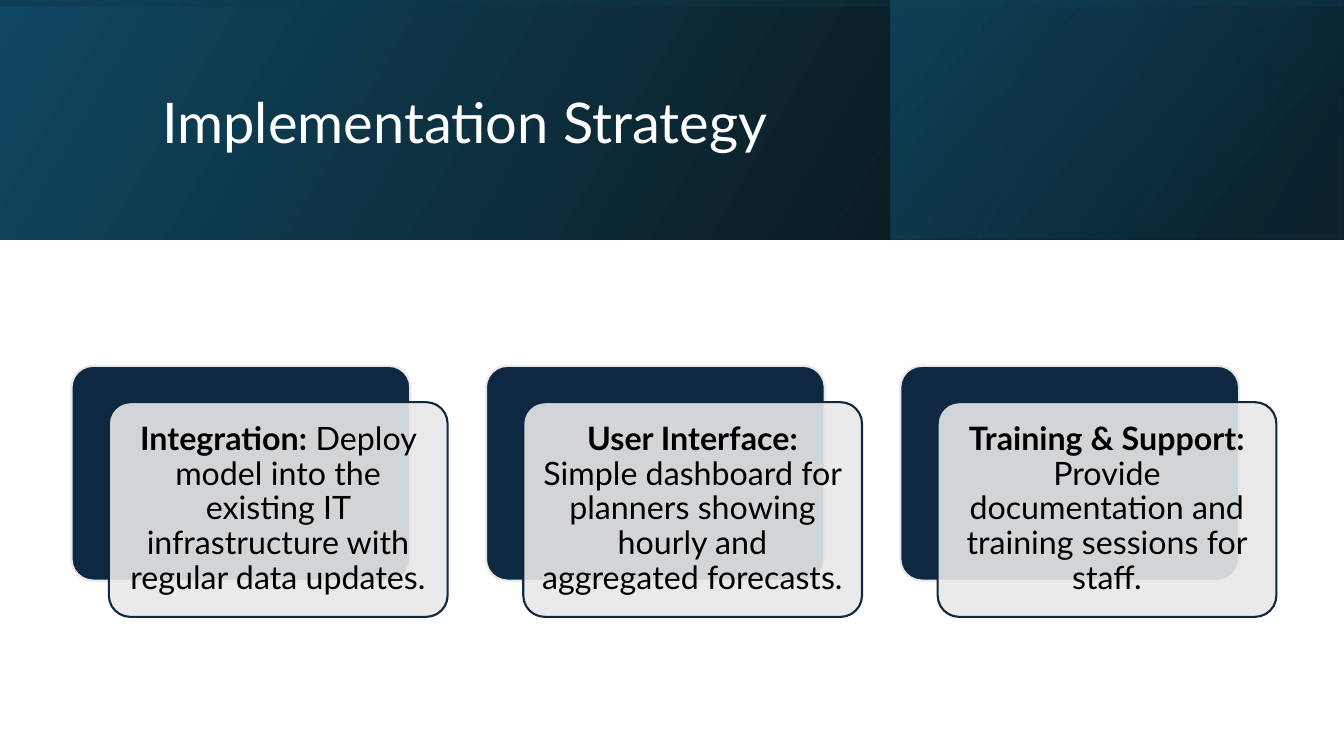
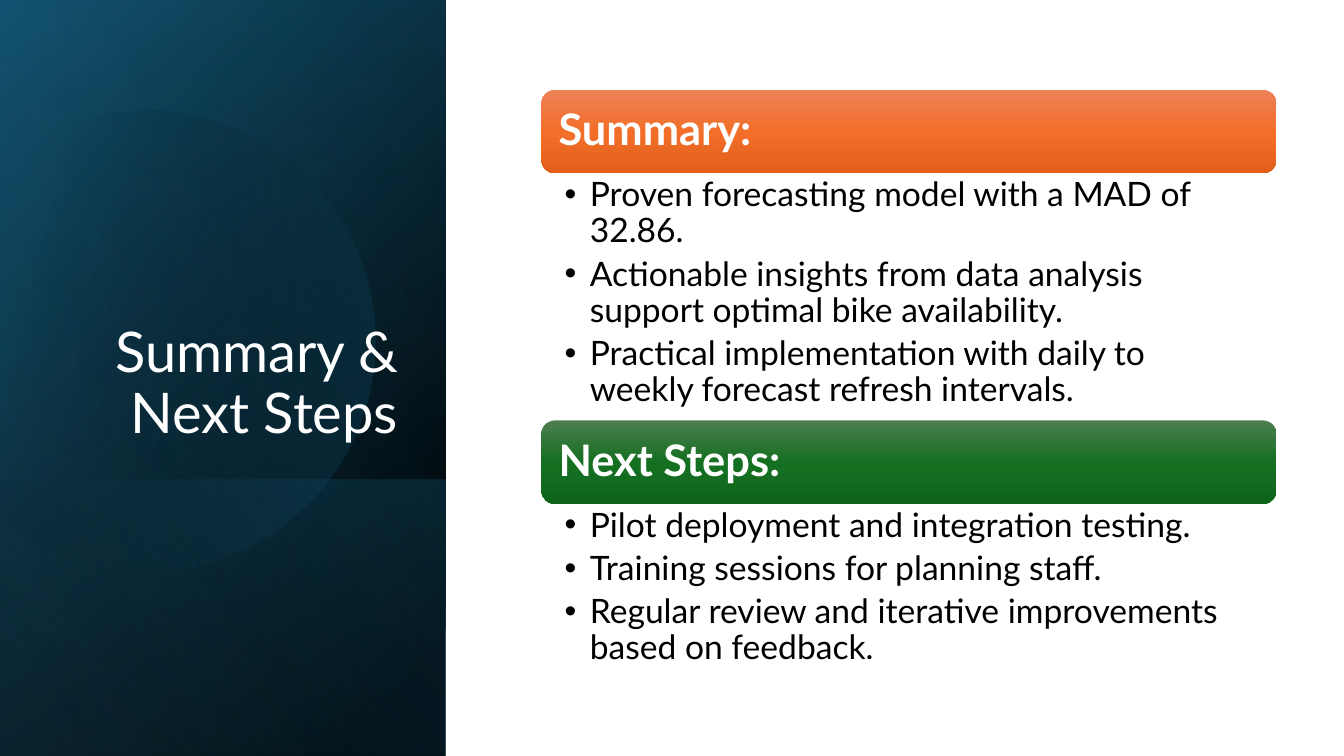
from math import cos, radians, sin

from lxml.etree import SubElement as Sub
from pptx import Presentation
from pptx.dml.color import RGBColor
from pptx.enum.shapes import MSO_SHAPE as Kind
from pptx.enum.text import MSO_ANCHOR as Anchor, MSO_AUTO_SIZE as Auto, PP_ALIGN as Align
from pptx.oxml.ns import qn
from pptx.util import Inches, Pt

WIDE, HIGH = 13.33, 7.5
FONT = "Lato"
NAVY, PALE, WHITE, BLACK = "0E2841", "E8E8E8", "FFFFFF", "000000"
DEEP, TEAL, SKY = "104862", "156082", "46B1E1"

# Bands: visible box, turn, gradient angle, stops of (place, colour, opacity)
HEAD, SIDE = 2.38, 4.42
TOP = (0, 0, WIDE, HEAD)
LEFT = (0, 0, SIDE, HIGH)
TOP_BANDS = [
    (TOP, 0, 330, [(0, BLACK, 96), (100, DEEP, 100)]),
    ((8.83, 0, 4.49, HEAD), 0, 320, [(19, "0B3041", 68), (100, TEAL, 48)]),
    (TOP, 270, 350, [(23, DEEP, 16), (99, BLACK, 45)]),
]
SIDE_BANDS = [
    (LEFT, 90, 50, [(8, BLACK, 100), (100, DEEP, 100)]),
    (LEFT, 90, 30, [(0, BLACK, 0), (99, TEAL, 46)]),
    ((0, 4.76, SIDE, 2.74), 90, 130, [(2, TEAL, 29), (100, BLACK, 30)]),
]
SHEEN = (LEFT, 90, 120, [(0, BLACK, 0), (99, SKY, 11)])

# Disc: turn, centre, then steps of one point (line) or three (curve)
DISC_TURN, DISC_MID = 343.9, (1.59, 3.35)
DISC_STOPS = [(29, BLACK, 0), (100, TEAL, 43)]
DISC_STEPS = [
    [(1.49, 1.1)],
    [(2.46, 1.12), (3.35, 1.77), (3.63, 2.75)],
    [(3.98, 3.97), (3.28, 5.23), (2.07, 5.58)],
    [(1.31, 5.8), (0.53, 5.61), (-0.03, 5.14)],
    [(-0.15, 5.03)],
    [(-0.15, 1.75)],
    [(0, 1.61)],
    [(0.23, 1.42), (0.5, 1.28), (0.8, 1.19)],
    [(1.03, 1.13), (1.26, 1.1), (1.49, 1.1)],
]

CARDS = [
    ("Integration:", " Deploy model into the existing IT infrastructure with regular data updates."),
    ("User Interface:", " Simple dashboard for planners showing hourly and aggregated forecasts."),
    ("Training & Support:", " Provide documentation and training sessions for staff."),
]
PARTS = [
    ("Summary:", ("ED8257", "F26E29", "E25F1A"), 2.45, [
        "Proven forecasting model with a MAD of 32.86.",
        "Actionable insights from data analysis support optimal bike availability.",
        "Practical implementation with daily to weekly forecast refresh intervals.",
    ]),
    ("Next Steps:", ("4D7E50", "156F21", "0F661B"), 1.72, [
        "Pilot deployment and integration testing.",
        "Training sessions for planning staff.",
        "Regular review and iterative improvements based on feedback.",
    ]),
]


def rgb(code):
    return RGBColor.from_string(code)


def put(obj, **vals):
    for name, val in vals.items():
        setattr(obj, name, val)


def inch(box):
    return [Inches(v) for v in box]


def color(parent, code, alpha=100):
    node = Sub(parent, qn("a:srgbClr"), val=code)
    if alpha < 100:
        Sub(node, qn("a:alpha"), val=str(alpha * 1000))


def blend(shape, stops, angle):
    """Fill a shape with a linear gradient whose stops may be see-through."""
    shape.fill.gradient()
    grad = shape._element.spPr.find(qn("a:gradFill"))
    for child in list(grad):
        grad.remove(child)
    group = Sub(grad, qn("a:gsLst"))
    for place, code, alpha in stops:
        color(Sub(group, qn("a:gs"), pos=str(place * 1000)), code, alpha)
    Sub(grad, qn("a:lin"), ang=str(angle * 60000), scaled="0")


def plain(shape, edge=None):
    shape.shadow.inherit = False
    if edge:
        shape.line.color.rgb = rgb(edge)
        shape.line.width = Pt(1.5)
    else:
        shape.line.fill.background()
    return shape


def block(slide, kind, box, edge=None):
    return plain(slide.shapes.add_shape(kind, *inch(box)), edge)


def band(slide, box, turn, angle, stops):
    """Draw a mirrored gradient band; a quarter turn swaps its sides."""
    x, y, w, h = box
    if turn:
        x, y, w, h = x + (w - h) / 2, y + (h - w) / 2, h, w
    shape = block(slide, Kind.RECTANGLE, (x, y, w, h))
    shape.rotation = turn
    shape._element.spPr.find(qn("a:xfrm")).set("flipH", "1")
    blend(shape, stops, angle)


def unturn(dot):
    """Give a point's place before the disc is turned."""
    angle = radians(360 - DISC_TURN)
    dx, dy = dot[0] - DISC_MID[0], dot[1] - DISC_MID[1]
    return inch((DISC_MID[0] + dx * cos(angle) - dy * sin(angle),
                 DISC_MID[1] + dx * sin(angle) + dy * cos(angle)))


def disc(slide):
    """Lay the points out as lines, then join each three into a curve."""
    dots = [unturn(dot) for step in DISC_STEPS for dot in step]
    pen = slide.shapes.build_freeform(*dots[0])
    pen.add_line_segments(dots[1:])
    shape = plain(pen.convert_to_shape())
    lines = iter(list(shape._element.spPr.iter(qn("a:lnTo"))))
    for step in DISC_STEPS[1:]:
        group = [next(lines) for _ in step]
        if len(group) == 3:
            curve = Sub(group[0].getparent(), qn("a:cubicBezTo"))
            group[0].addprevious(curve)
            for line in group:
                curve.append(line[0])
                line.getparent().remove(line)
    shape.rotation = DISC_TURN
    blend(shape, DISC_STOPS, 30)


def frame(shape, anchor, pads):
    text = shape.text_frame
    names = ("margin_left", "margin_top", "margin_right", "margin_bottom")
    put(text, word_wrap=True, auto_size=Auto.NONE, vertical_anchor=anchor,
        **dict(zip(names, inch(pads))))
    return text


def write(para, runs, size, code, align=Align.LEFT):
    """Fill a paragraph with (text, bold) runs."""
    put(para, alignment=align, line_spacing=0.9)
    for words, bold in runs:
        run = para.add_run()
        run.text = words
        put(run.font, name=FONT, size=Pt(size), bold=bold)
        run.font.color.rgb = rgb(code)


def bullet(para):
    props = para._p.get_or_add_pPr()
    props.set("marL", str(Inches(0.25)))
    props.set("indent", str(-Inches(0.25)))
    Sub(props, qn("a:buFont"), typeface="Arial")
    Sub(props, qn("a:buChar"), char="•")


def title(slide, words, box, anchor, align):
    """Format the title placeholder and bring it above the bands."""
    shape = slide.shapes.title
    put(shape, **dict(zip(("left", "top", "width", "height"), inch(box))))
    text = frame(shape, anchor, (0.1, 0.05, 0.1, 0.05))
    write(text.paragraphs[0], [(words, False)], 40, WHITE, align)
    slide.shapes._spTree.append(shape._element)


def strategy(slide):
    for item in TOP_BANDS:
        band(slide, *item)
    title(slide, "Implementation Strategy", (1.51, 0.38, 10.63, 1.72),
          Anchor.MIDDLE, Align.LEFT)
    x, y, w, h, step = 0.71, 3.63, 3.36, 2.13, 4.11
    for i, (label, words) in enumerate(CARDS):
        left = x + i * step
        back = block(slide, Kind.ROUNDED_RECTANGLE, (left, y, w, h), PALE)
        card = block(slide, Kind.ROUNDED_RECTANGLE, (left + 0.37, y + 0.36, w, h), NAVY)
        for shape, code in ((back, NAVY), (card, PALE)):
            shape.adjustments[0] = 0.1
            shape.fill.solid()
            shape.fill.fore_color.rgb = rgb(code)
        tint = card._element.spPr.find(qn("a:solidFill"))[0]
        Sub(tint, qn("a:alpha"), val="90000")
        text = frame(card, Anchor.MIDDLE, (0.1,) * 4)
        write(text.paragraphs[0], [(label, True), (words, False)], 23, BLACK, Align.CENTER)


def summary(slide):
    for item in SIDE_BANDS:
        band(slide, *item)
    disc(slide)
    band(slide, *SHEEN)
    title(slide, "Summary & Next Steps", (0.64, 1.85, 3.41, 2.62),
          Anchor.BOTTOM, Align.RIGHT)
    x, y, w, h = 5.37, 0.89, 7.29, 0.83
    for label, codes, tall, points in PARTS:
        bar = block(slide, Kind.ROUNDED_RECTANGLE, (x, y, w, h))
        blend(bar, [(i * 50, code, 100) for i, code in enumerate(codes)], 90)
        text = frame(bar, Anchor.MIDDLE, (0.13,) * 4)
        write(text.paragraphs[0], [(label, True)], 31, WHITE)
        y += h
        body = slide.shapes.add_textbox(*inch((x, y, w, tall)))
        text = frame(body, Anchor.TOP, (0.23, 0.04, 0.24, 0.04))
        for i, point in enumerate(points):
            para = text.add_paragraph() if i else text.paragraphs[0]
            write(para, [(point, False)], 24, BLACK)
            para.space_after = Pt(5)
            bullet(para)
        y += tall


def main():
    deck = Presentation()
    put(deck, slide_width=Inches(WIDE), slide_height=Inches(HIGH))
    for build in (strategy, summary):
        build(deck.slides.add_slide(deck.slide_layouts[5]))
    deck.save("out.pptx")


if __name__ == "__main__":
    main()
